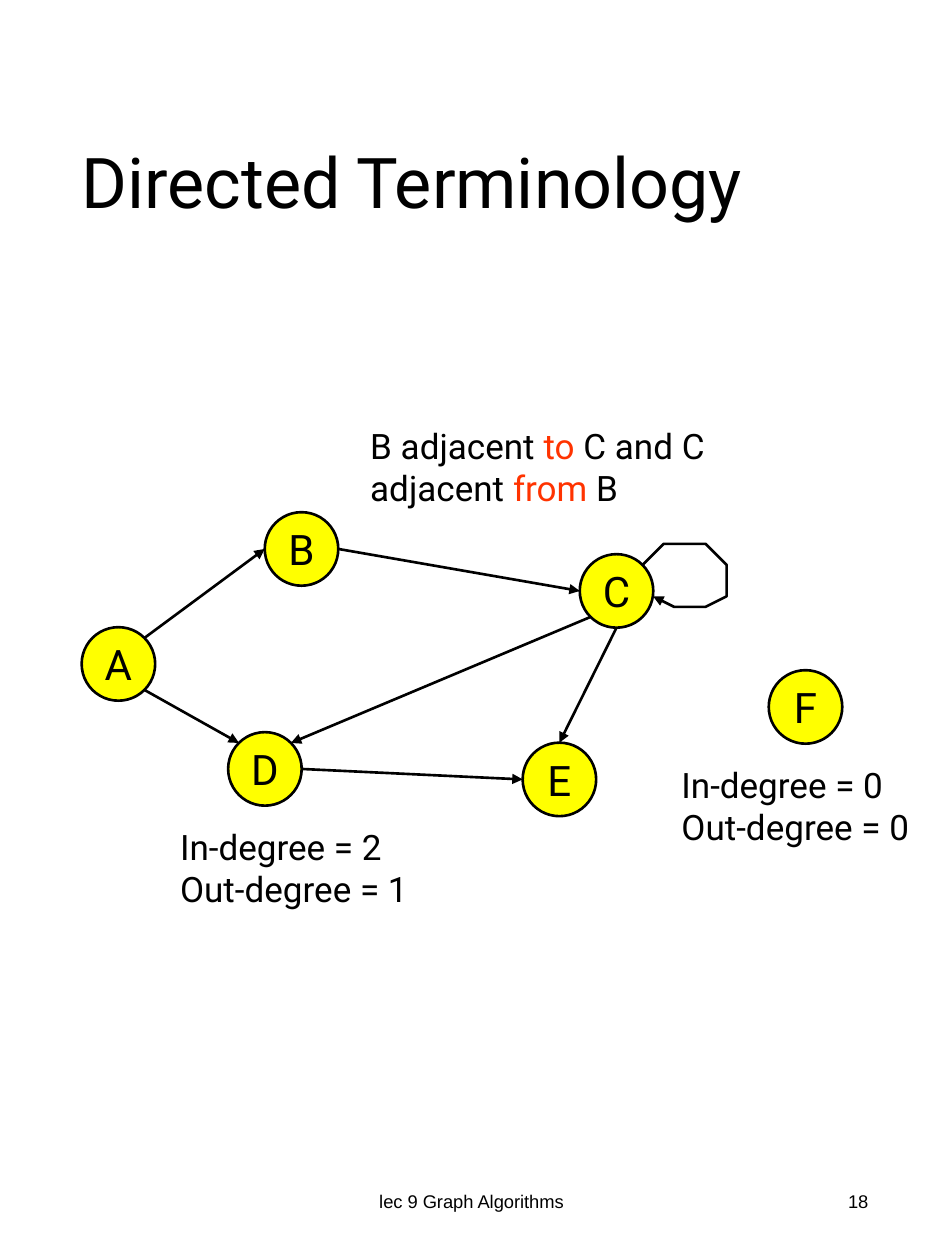
"""Build the slide on directed graph terminology."""
from dataclasses import dataclass
from math import cos, radians, sin

from lxml.etree import SubElement
from pptx import Presentation
from pptx.dml.color import RGBColor as Color
from pptx.enum.shapes import MSO_CONNECTOR as Link, MSO_SHAPE as Shape
from pptx.enum.text import MSO_ANCHOR as Anchor, PP_ALIGN as Align
from pptx.oxml.ns import qn
from pptx.util import Pt


@dataclass(frozen=True)
class Theme:
    ink: Color = Color(0, 0, 0)
    accent: Color = Color(0xFF, 0x33, 0x00)
    node: Color = Color(0xFF, 0xFF, 0x00)
    title: float = 40
    letter: float = 24
    label: float = 20
    footer: float = 10.5
    stroke: float = 1.5
    font: str = "Roboto"
    footer_font: str = "Arial"


theme = Theme()


def write(shape, lines, size=theme.label, font=theme.font, align=Align.LEFT,
          anchor=Anchor.TOP, wrap=True, spacing=1.0):
    """Fill a shape with lines, each a list of (text, color) runs or a string."""
    frame = shape.text_frame
    frame.word_wrap = wrap
    frame.vertical_anchor = anchor
    for index, line in enumerate(lines):
        paragraph = frame.add_paragraph() if index else frame.paragraphs[0]
        paragraph.alignment = align
        paragraph.line_spacing = spacing
        for text, color in [(line, theme.ink)] if isinstance(line, str) else line:
            run = paragraph.add_run()
            run.text = text
            run.font.size = Pt(size)
            run.font.name = font
            run.font.color.rgb = color


def draw_arrow(shape):
    """Style a line and put an arrowhead at its end."""
    shape.line.color.rgb = theme.ink
    shape.line.width = Pt(theme.stroke)
    properties = shape._element.spPr
    SubElement(properties.find(qn("a:ln")), qn("a:tailEnd"), type="triangle")
    if properties.find(qn("a:effectLst")) is None:
        SubElement(properties, qn("a:effectLst"))


deck = Presentation()
deck.slide_width, deck.slide_height = Pt(540), Pt(720)
shapes = deck.slides.add_slide(deck.slide_layouts[6]).shapes

footers = [
    ("lec 9 Graph Algorithms", 178.5, 182, Align.CENTER),
    ("18", 381.6, 121.7, Align.RIGHT),
]
for text, left, width, align in footers:
    footer = shapes.add_textbox(Pt(left), Pt(667.5), Pt(width), Pt(38))
    write(footer, [text], size=theme.footer, font=theme.footer_font,
          align=align, anchor=Anchor.MIDDLE)

title = shapes.add_textbox(Pt(39.6), Pt(36.7), Pt(466), Pt(139))
write(title, ["Directed Terminology"], size=theme.title,
      anchor=Anchor.MIDDLE, spacing=0.9)

radius = 21
centers = {
    "A": (67.7, 379.4), "B": (172.3, 313.7), "C": (352.3, 337.7),
    "E": (319.7, 445.4), "D": (151.4, 439.4), "F": (460.3, 404),
}
for letter, (x, y) in centers.items():
    node = shapes.add_shape(Shape.OVAL, Pt(x - radius), Pt(y - radius),
                            Pt(2 * radius), Pt(2 * radius))
    node.shadow.inherit = False
    node.fill.solid()
    node.fill.fore_color.rgb = theme.node
    node.line.color.rgb = theme.ink
    node.line.width = Pt(theme.stroke)
    write(node, [letter], size=theme.letter, align=Align.CENTER,
          anchor=Anchor.MIDDLE, wrap=False)

right, lower_right, down, lower_left = 0, 45, 90, 135
left, upper_left, up, upper_right = 180, 225, 270, 315
edges = [
    ("C", down, "E", up),
    ("D", right, "E", left),
    ("A", lower_right, "D", upper_left),
    ("C", lower_left, "D", upper_right),
    ("B", right, "C", left),
    ("A", upper_right, "B", left),
]
for source, leaving, target, arriving in edges:
    ends = []
    for letter, angle in [(source, leaving), (target, arriving)]:
        x, y = centers[letter]
        ends += [Pt(x + radius * cos(radians(angle))),
                 Pt(y + radius * sin(radians(angle)))]
    draw_arrow(shapes.add_connector(Link.STRAIGHT, *ends))

degrees = [(95.8, 468, 154, 2, 1), (382.3, 432.9, 157.7, 0, 0)]
for x, y, width, incoming, outgoing in degrees:
    degree = shapes.add_textbox(Pt(x), Pt(y), Pt(width), Pt(55.4))
    write(degree, [f"In-degree = {incoming}", f"Out-degree = {outgoing}"])

adjacency = shapes.add_textbox(Pt(204.5), Pt(239), Pt(211), Pt(55.4))
write(adjacency, [[
    ("B adjacent ", theme.ink), ("to", theme.accent),
    (" C and C adjacent ", theme.ink), ("from", theme.accent),
    (" B", theme.ink),
]])

loop_points = [
    (Pt(x), Pt(y)) for x, y in [
        (367.2, 322.8), (379.2, 310.8), (403.2, 310.8), (415.2, 322.8),
        (415.2, 340.8), (403.2, 346.8), (385.2, 346.8), (373.2, 340.8),
    ]
]
path_builder = shapes.build_freeform(*loop_points[0])
path_builder.add_line_segments(loop_points[1:], close=False)
self_loop = path_builder.convert_to_shape()
self_loop.fill.background()
draw_arrow(self_loop)

deck.save("out.pptx")
